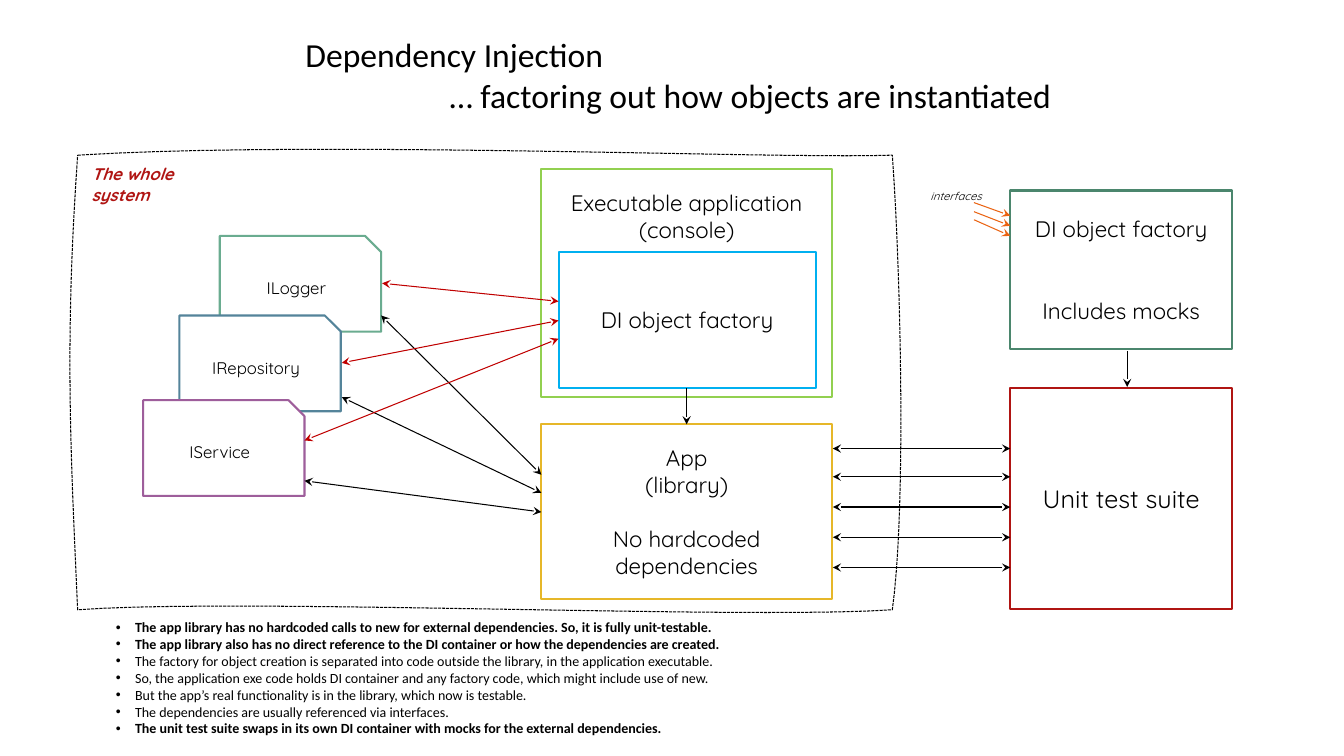
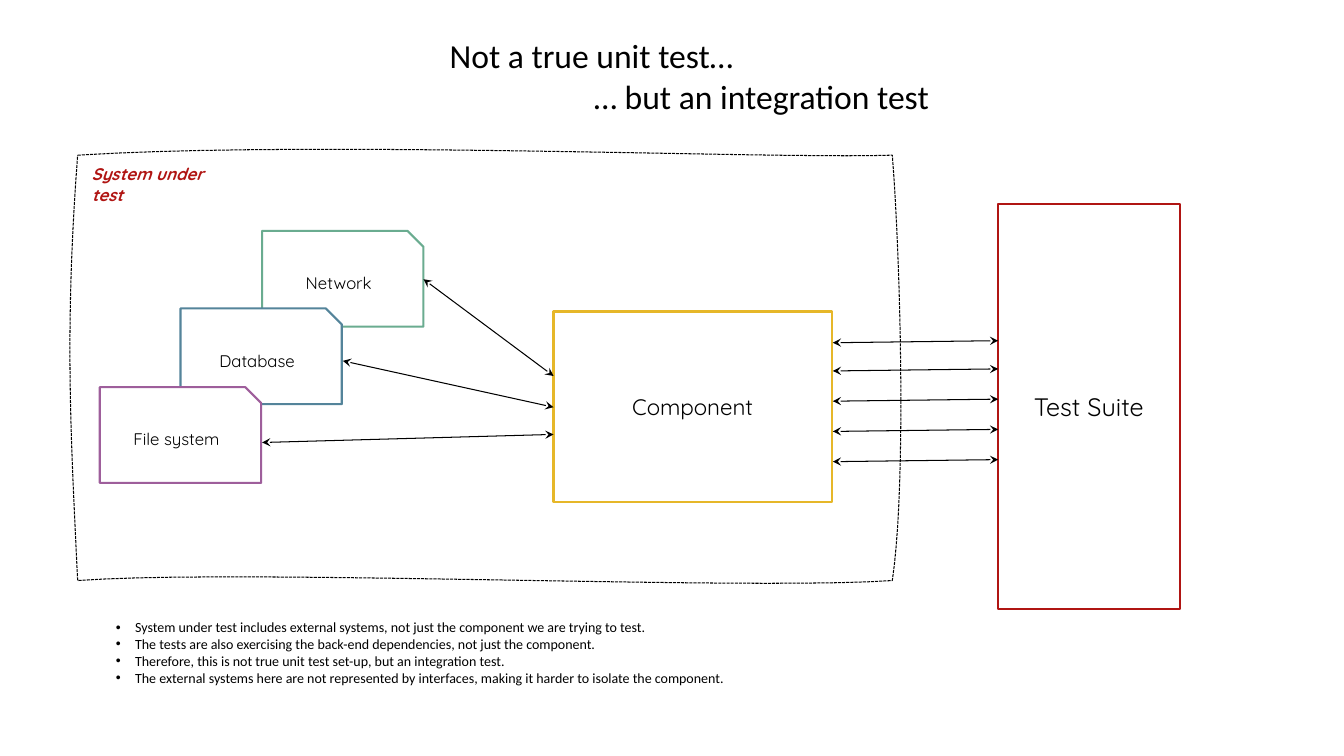
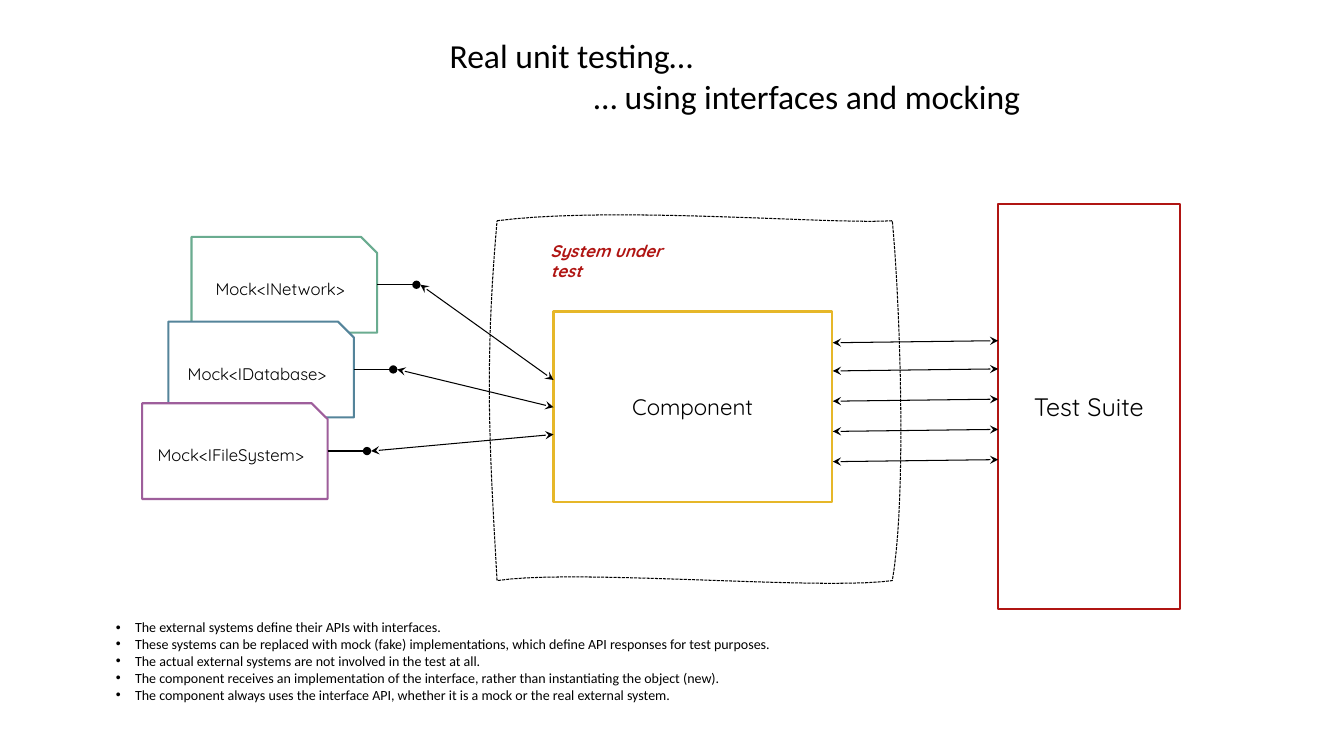
from pptx import Presentation
from pptx.dml.color import RGBColor
from pptx.enum.dml import MSO_LINE_DASH_STYLE as Dash
from pptx.enum.shapes import MSO_CONNECTOR as Connector, MSO_SHAPE as Shape
from pptx.enum.text import MSO_ANCHOR as Anchor, MSO_AUTO_SIZE as AutoSize, PP_ALIGN as Align
from pptx.oxml.ns import qn
from pptx.util import Inches, Pt
from lxml.etree import SubElement

BLACK = RGBColor(0x00, 0x00, 0x00)
WHITE = RGBColor(0xFF, 0xFF, 0xFF)
RED = RGBColor(0xB0, 0x15, 0x13)
LINK_RED = RGBColor(0xC0, 0x00, 0x00)
ORANGE = RGBColor(0xEA, 0x63, 0x12)
YELLOW = RGBColor(0xE6, 0xB7, 0x29)
LIME = RGBColor(0x92, 0xD0, 0x50)
SKY = RGBColor(0x00, 0xB0, 0xF0)
FOREST = RGBColor(0x4B, 0x86, 0x6D)
GREEN = RGBColor(0x6A, 0xAC, 0x90)
STEEL = RGBColor(0x54, 0x84, 0x9A)
PURPLE = RGBColor(0x9E, 0x5E, 0x9B)
CARD_COLORS = (GREEN, STEEL, PURPLE)

TITLE = {"name": "Calibri", "size": Pt(24), "bold": False}
BULLET = {"name": "Calibri", "size": Pt(10)}
SUITE = {"name": "Quicksand", "size": Pt(18)}
BOX = {"name": "Quicksand", "size": Pt(16)}
CARD = {"name": "Quicksand", "size": Pt(12)}
FRAME_LABEL = {"name": "Quicksand", "size": Pt(12), "bold": True, "italic": True}
SMALL_LABEL = {"name": "Quicksand", "size": Pt(8), "italic": True}

TITLE_STEP = 1.43
BULLET_INDENT = 0.19
CARD_HEIGHT = 0.95
TEST_LINK_OFFSETS = (0, 0.28, 0.58, 0.88, 1.18)
COMPONENT_RIGHT = 8.26
BOTH_ENDS = ("stealth", "stealth")
FORWARD = (None, "stealth")
SOCKET = (None, "oval")


def curve(start, first, second, end, steps=20):
    """Points along a cubic Bézier curve, without its start."""
    points = []
    for step in range(1, steps + 1):
        t = step / steps
        weights = ((1 - t) ** 3, 3 * t * (1 - t) ** 2, 3 * t * t * (1 - t), t ** 3)
        corners = (start, first, second, end)
        points.append(tuple(Inches(sum(w * c[axis] for w, c in zip(weights, corners)))
                            for axis in (0, 1)))
    return points


class Deck:
    """Holds the presentation, its style and the current slide."""

    def __init__(self):
        self.presentation = Presentation()
        self.presentation.slide_width = Inches(13.33)
        self.presentation.slide_height = Inches(7.5)

    def new_slide(self, title_left, title_top, title_lines, bullets, bold=()):
        layout = self.presentation.slide_layouts[1]
        self.slide = self.presentation.slides.add_slide(layout)
        self.shapes = self.slide.shapes
        title = self.shapes.title
        self.place(title, title_left, title_top, 13 - title_left, 0.91)
        self.set_text(title.text_frame, title_lines, TITLE)
        self.indent(title.text_frame.paragraphs[1], TITLE_STEP, 0)
        body = self.slide.placeholders[1]
        self.place(body, 1.05, 6.09, 7.5, 1.28)
        self.set_text(body.text_frame, bullets, BULLET)
        for index, paragraph in enumerate(body.text_frame.paragraphs):
            self.indent(paragraph, BULLET_INDENT, -BULLET_INDENT)
            paragraph.runs[0].font.bold = index in bold

    @staticmethod
    def place(shape, left, top, width, height):
        bounds = {"left": left, "top": top, "width": width, "height": height}
        for name, value in bounds.items():
            setattr(shape, name, Inches(value))

    @staticmethod
    def indent(paragraph, margin, first_line):
        properties = paragraph._p.get_or_add_pPr()
        properties.set("marL", str(Inches(margin)))
        properties.set("indent", str(Inches(first_line)))

    @staticmethod
    def set_text(frame, lines, style, align=Align.LEFT, anchor=Anchor.TOP, color=BLACK,
                 wrap=True):
        frame.auto_size = AutoSize.NONE
        frame.word_wrap = wrap
        frame.vertical_anchor = anchor
        for index, line in enumerate(lines):
            paragraph = frame.add_paragraph() if index else frame.paragraphs[0]
            paragraph.alignment = align
            paragraph.space_before = Pt(0)
            run = paragraph.add_run()
            run.text = line
            run.font.color.rgb = color
            for name, value in style.items():
                setattr(run.font, name, value)

    def box(self, left, top, width, height, color, lines, style=BOX,
            kind=Shape.RECTANGLE, anchor=Anchor.MIDDLE):
        box = self.shapes.add_shape(kind, *map(Inches, (left, top, width, height)))
        box.shadow.inherit = False
        box.fill.solid()
        box.fill.fore_color.rgb = WHITE
        box.line.color.rgb = color
        box.line.width = Pt(1.5)
        self.set_text(box.text_frame, lines, style, Align.CENTER, anchor)
        return box.text_frame

    def cards(self, names, corners, width=1.6):
        for name, (left, top), color in zip(names, corners, CARD_COLORS):
            self.box(left, top, width, CARD_HEIGHT, color, [name], CARD,
                     Shape.SNIP_1_RECTANGLE)

    def label(self, text, left, top, width, style, color=BLACK, wrap=True):
        label = self.shapes.add_textbox(*map(Inches, (left, top, width, 0.3)))
        self.set_text(label.text_frame, [text], style, color=color, wrap=wrap)

    def link(self, start, end, color=BLACK, ends=BOTH_ENDS, width=0.75):
        link = self.shapes.add_connector(Connector.STRAIGHT, *map(Inches, (*start, *end)))
        link.line.color.rgb = color
        link.line.width = Pt(width)
        properties = link._element.spPr
        outline = properties.find(qn("a:ln"))
        for tag, head in zip(("a:headEnd", "a:tailEnd"), ends):
            if head:
                SubElement(outline, qn(tag)).set("type", head)
        SubElement(properties, qn("a:effectLst"))

    def links(self, starts, ends, color=BLACK):
        for start, end in zip(starts, ends):
            self.link(start, end, color)

    def test_links(self, top, suite_left, rise=0):
        for offset in TEST_LINK_OFFSETS:
            y = top + offset
            self.link((COMPONENT_RIGHT, y), (suite_left, y - rise))

    def system_frame(self, left, top, bottom, right=8.85):
        """Dashed outline whose four sides bow slightly."""
        def at(across, down, dx=0, dy=0):
            return (left + across * (right - left) + dx, top + down * (bottom - top) + dy)

        sides = (
            (at(0, 0), at(0.3, 0, dy=-0.15), at(0.85, 0, dy=0.04), at(1, 0)),
            (at(1, 0), at(1, 0.2, dx=0.07), at(1, 0.76, dx=0.15), at(1, 1)),
            (at(1, 1), at(0.82, 1, dy=0.1), at(0.2, 1, dy=-0.12), at(0, 1)),
            (at(0, 1), at(0, 0.65, dx=-0.07), at(0, 0.41, dx=-0.13), at(0, 0)),
        )
        builder = self.shapes.build_freeform(Inches(left), Inches(top))
        builder.add_line_segments([point for side in sides for point in curve(*side)])
        frame = builder.convert_to_shape()
        frame.shadow.inherit = False
        frame.fill.background()
        frame.line.color.rgb = BLACK
        frame.line.width = Pt(0.75)
        frame.line.dash_style = Dash.SQUARE_DOT

    def component_and_suite(self):
        self.box(5.49, 3.09, 2.76, 1.89, YELLOW, ["Component"])
        self.box(9.9, 2.02, 1.8, 4.02, RED, ["Test Suite"], SUITE)
        self.test_links(3.4, 9.9, rise=0.02)


def dependency_injection(deck):
    deck.new_slide(2.93, 0.29, [
        "Dependency Injection",
        "… factoring out how objects are instantiated",
    ], [
        "The app library has no hardcoded calls to new for external dependencies. So, it is fully unit-testable.",
        "The app library also has no direct reference to the DI container or how the dependencies are created.",
        "The factory for object creation is separated into code outside the library, in the application executable.",
        "So, the application exe code holds DI container and any factory code, which might include use of new.",
        "But the app’s real functionality is in the library, which now is testable.",
        "The dependencies are usually referenced via interfaces.",
        "The unit test suite swaps in its own DI container with mocks for the external dependencies.",
    ], bold=(0, 1, 6))
    library = deck.box(5.37, 4.21, 2.88, 1.73, YELLOW,
                       ["App", "(library)", "No hardcoded", "dependencies"])
    library.paragraphs[2].space_before = Pt(19.5)
    deck.cards(("ILogger", "IRepository", "IService"),
               ((2.18, 2.34), (1.78, 3.13), (1.42, 3.97)))
    deck.links(((3.78, 3.13), (3.39, 3.94), (3.02, 4.77)),
               ((5.37, 4.71), (5.37, 4.89), (5.37, 5.08)))
    deck.box(10.02, 3.85, 2.2, 2.19, RED, ["Unit test suite"], SUITE)
    deck.test_links(4.45, 10.02)
    deck.system_frame(0.77, 1.54, 6.05)
    deck.label("The whole system", 0.81, 1.58, 1.5, FRAME_LABEL, RED)

    executable = deck.box(5.37, 1.68, 2.88, 2.26, LIME,
                          ["Executable application", "(console)"], anchor=Anchor.TOP)
    executable.margin_top = Inches(0.2)
    deck.box(5.54, 2.5, 2.55, 1.35, SKY, ["DI object factory"])
    deck.link((6.81, 3.85), (6.81, 4.21), ends=FORWARD)
    deck.links(((3.79, 2.81), (3.39, 3.6), (3.02, 4.37)),
               ((5.54, 2.99), (5.54, 3.18), (5.54, 3.36)), LINK_RED)

    mocks = deck.box(10.02, 1.89, 2.2, 1.57, FOREST, ["DI object factory", "Includes mocks"])
    mocks.paragraphs[1].space_before = Pt(39)
    deck.link((11.18, 3.48), (11.18, 3.84), ends=FORWARD)
    for start_y, end_y in ((2.01, 2.14), (2.1, 2.24), (2.18, 2.34)):
        deck.link((9.66, start_y), (10.02, end_y), ORANGE, FORWARD)
    deck.label("interfaces", 9.13, 1.83, 0.77, SMALL_LABEL, wrap=False)


def integration_test(deck):
    deck.new_slide(4.36, 0.3, [
        "Not a true unit test…",
        "… but an integration test",
    ], [
        "System under test includes external systems, not just the component we are trying to test.",
        "The tests are also exercising the back-end dependencies, not just the component.",
        "Therefore, this is not true unit test set-up, but an integration test.",
        "The external systems here are not represented by interfaces, making it harder to isolate the component.",
    ])
    deck.component_and_suite()
    deck.cards(("Network", "Database", "File system"),
               ((2.6, 2.29), (1.79, 3.06), (0.99, 3.84)))
    deck.links(((4.2, 2.77), (3.4, 3.58), (2.6, 4.39)),
               ((5.49, 3.73), (5.49, 4.04), (5.49, 4.31)))
    deck.system_frame(0.77, 1.54, 5.76)
    deck.label("System under test", 0.81, 1.58, 1.5, FRAME_LABEL, RED)


def real_unit_testing(deck):
    deck.new_slide(4.36, 0.3, [
        "Real unit testing…",
        "… using interfaces and mocking",
    ], [
        "The external systems define their APIs with interfaces.",
        "These systems can be replaced with mock (fake) implementations, which define API responses for test purposes.",
        "The actual external systems are not involved in the test at all.",
        "The component receives an implementation of the interface, rather than instantiating the object (new).",
        "The component always uses the interface API, whether it is a mock or the real external system.",
    ])
    deck.component_and_suite()
    mock_width = 1.84
    corners = ((1.9, 2.35), (1.67, 3.19), (1.41, 4))
    deck.cards(("Mock<INetwork>", "Mock<IDatabase>", "Mock<IFileSystem>"), corners, mock_width)
    for (left, top), component_y in zip(corners, (3.77, 4.04, 4.31)):
        right, middle = left + mock_width, top + CARD_HEIGHT / 2
        deck.link((right, middle), (right + 0.39, middle), ends=SOCKET, width=1)
        deck.link((right + 0.43, middle), (5.49, component_y))
    deck.system_frame(4.93, 2.19, 5.76)
    deck.label("System under test", 5.36, 2.34, 1.5, FRAME_LABEL, RED)


def main():
    deck = Deck()
    for build in (dependency_injection, integration_test, real_unit_testing):
        build(deck)
    deck.presentation.save("out.pptx")


if __name__ == "__main__":
    main()
